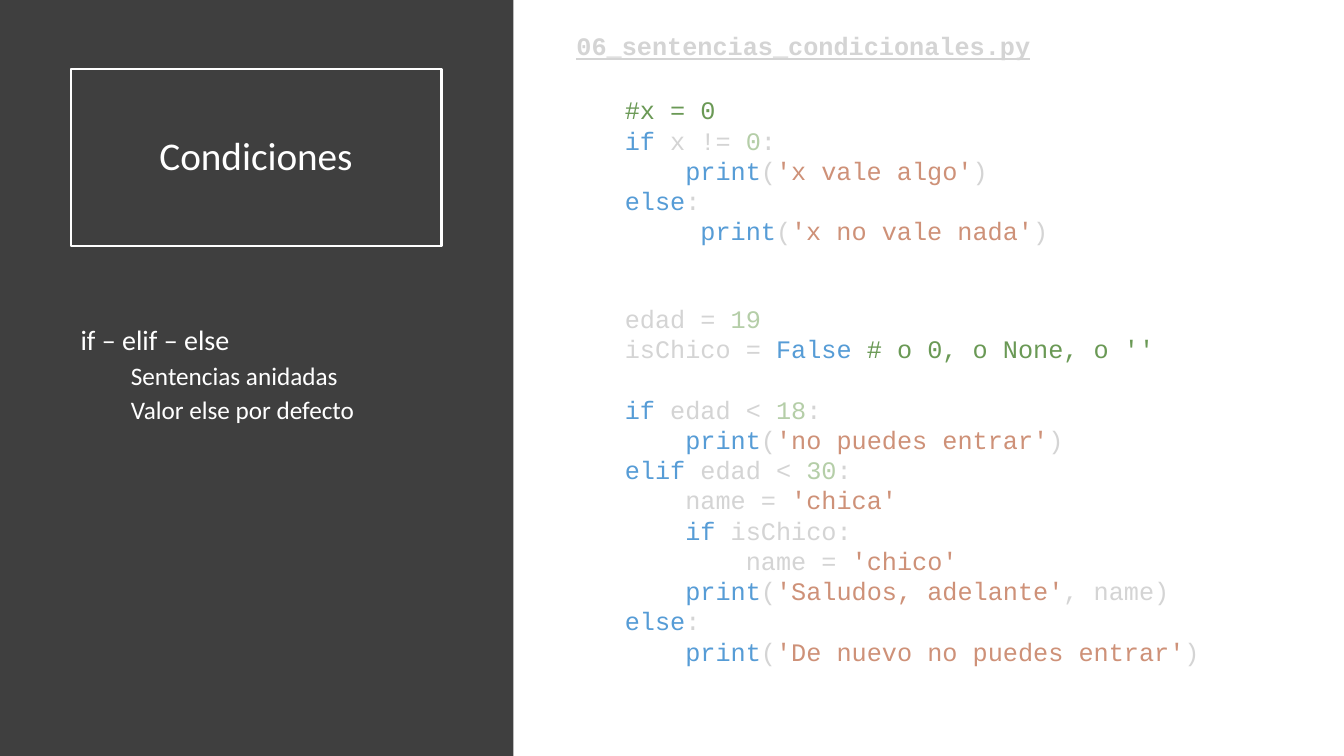
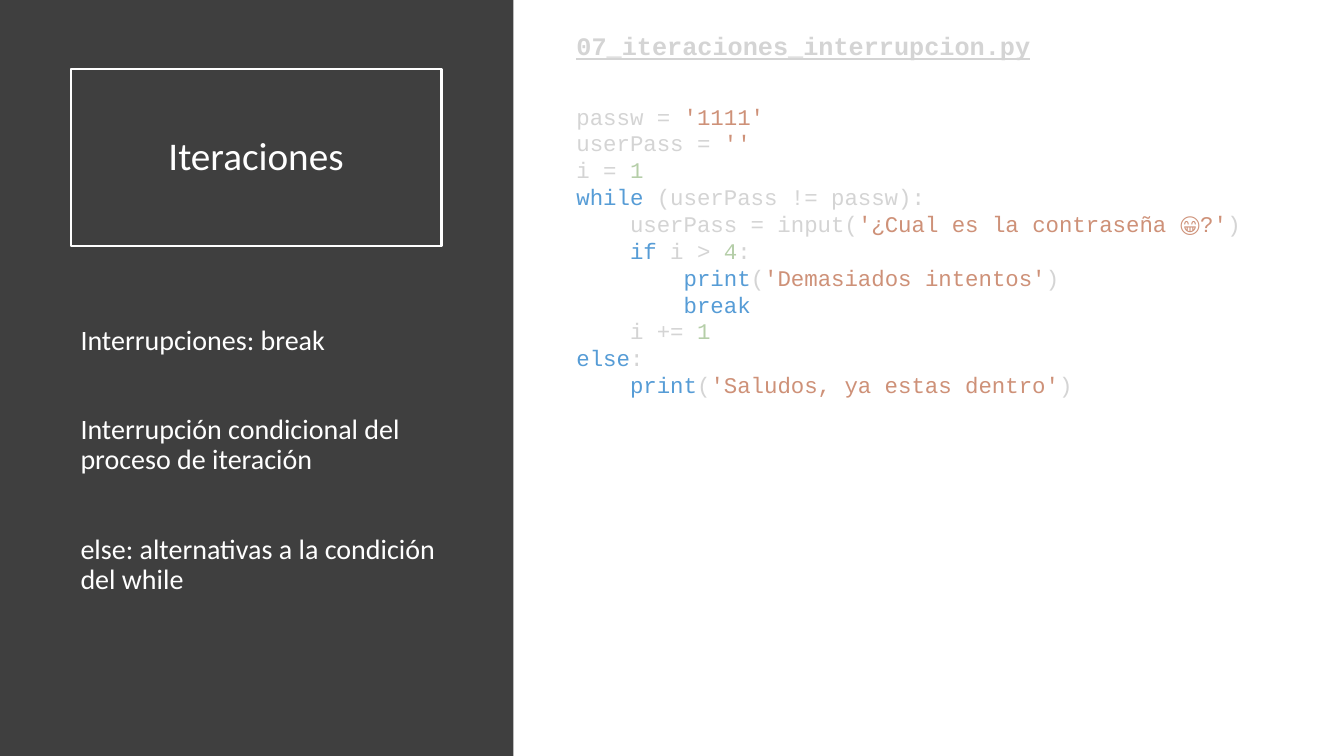
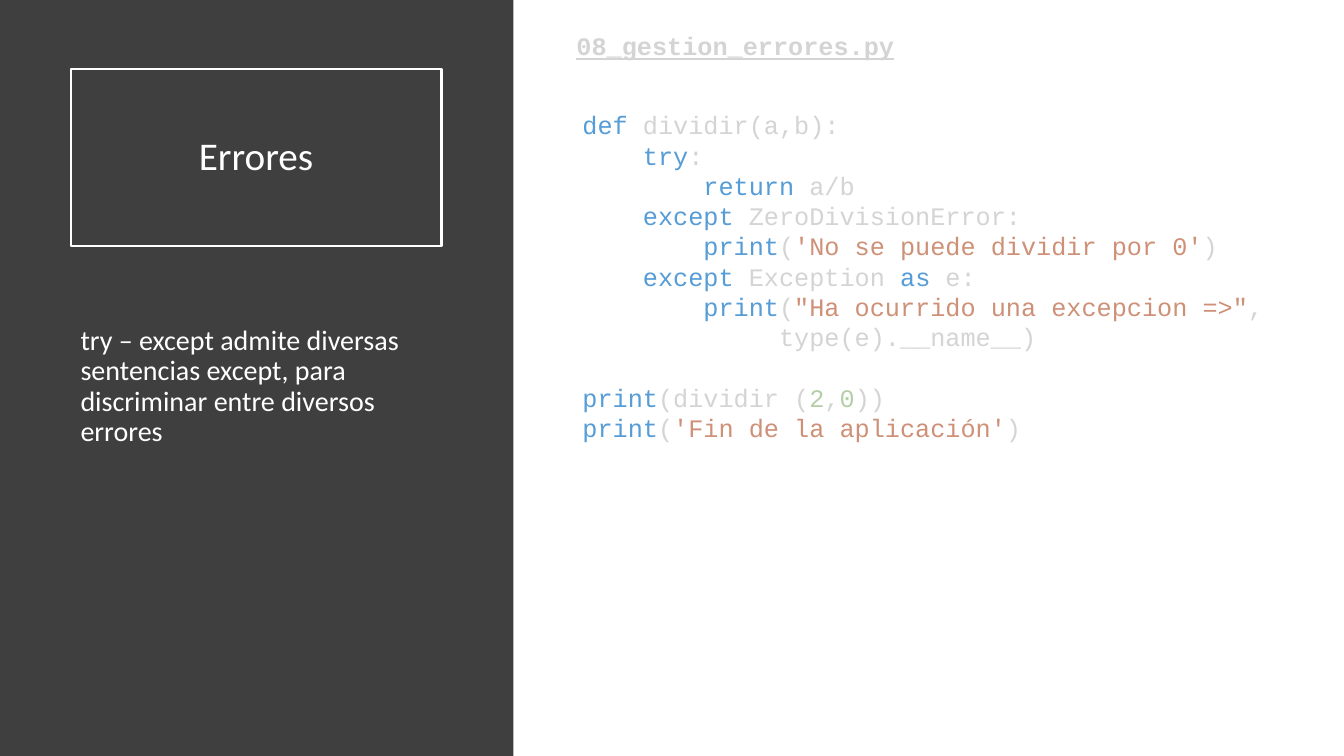
import itertools
from dataclasses import dataclass
from typing import Iterator

import pptx
import pptx.dml.color
import pptx.enum.shapes
import pptx.enum.text
import pptx.util


@dataclass(frozen=True)
class Theme:
    panel: str = "3F3F3F"
    light: str = "FFFFFF"
    plain: str = "D4D4D4"
    keyword: str = "569CD6"
    number: str = "B5CEA8"
    string: str = "CE9178"
    comment: str = "6A9955"
    text_font: str = "Calibri"
    code_font: str = "Courier New"
    title_size: int = 28
    point_size: int = 20
    detail_size: int = 18
    code_size: int = 18
    small_code_size: int = 16
    line_spacing: float = 0.9
    code_line_height: float = 1.2
    frame_width: float = 1.5


@dataclass(frozen=True)
class Area:
    """Position and size as percentages of the slide."""

    left: float
    top: float
    width: float
    height: float

    def lengths(self) -> tuple[int, int, int, int]:
        return (
            round(SLIDE_WIDTH * self.left / 100),
            round(SLIDE_HEIGHT * self.top / 100),
            round(SLIDE_WIDTH * self.width / 100),
            round(SLIDE_HEIGHT * self.height / 100),
        )


@dataclass(frozen=True)
class Point:
    text: str
    detail: bool = False


@dataclass(frozen=True)
class Listing:
    area: Area
    size: int
    code: str


@dataclass(frozen=True)
class Lesson:
    title: str
    points: tuple[Point, ...]
    file_name: str
    listings: tuple[Listing, ...]
    point_gap: int = 10


THEME = Theme()
SLIDE_WIDTH = pptx.util.Inches(13.33)
SLIDE_HEIGHT = pptx.util.Inches(7.5)
TITLE_ONLY = 5
DETAIL_GAP = 5
DETAIL_INDENT = pptx.util.Inches(0.5)

PANEL_AREA = Area(0, 0, 38.2, 100)
TITLE_AREA = Area(5.25, 9.07, 27.6, 23.47)
POINTS_AREA = Area(5.25, 42.53, 28.73, 40.67)
FILE_AREA = Area(42.15, 3.33, 53.25, 9.47)

KEYWORDS = {
    "if", "elif", "else", "while", "break", "def", "try", "except",
    "return", "as", "print", "False",
}

LESSONS = (
    Lesson(
        "Condiciones",
        (
            Point("if – elif – else"),
            Point("Sentencias anidadas", detail=True),
            Point("Valor else por defecto", detail=True),
        ),
        "06_sentencias_condicionales.py",
        (
            Listing(
                Area(45.75, 11.87, 33.38, 21.6),
                THEME.code_size,
                """#x = 0
if x != 0:
    print('x vale algo')
else:
     print('x no vale nada')""",
            ),
            Listing(
                Area(45.75, 39.47, 50.03, 49.87),
                THEME.code_size,
                """edad = 19
isChico = False # o 0, o None, o ''

if edad < 18:
    print('no puedes entrar')
elif edad < 30:
    name = 'chica'
    if isChico:
        name = 'chico'
    print('Saludos, adelante', name)
else:
    print('De nuevo no puedes entrar')""",
            ),
        ),
    ),
    Lesson(
        "Iteraciones",
        (
            Point("Interrupciones: break"),
            Point("Interrupción condicional del proceso de iteración"),
            Point("else: alternativas a la condición del while"),
        ),
        "07_iteraciones_interrupcion.py",
        (
            Listing(
                Area(42.15, 12.93, 51.83, 41.73),
                THEME.small_code_size,
                """passw = '1111'
userPass = ''
i = 1
while (userPass != passw):
    userPass = input('¿Cual es la contraseña 😁?')
    if i > 4:
        print('Demasiados intentos')
        break
    i += 1
else:
    print('Saludos, ya estas dentro')""",
            ),
        ),
        point_gap=42,
    ),
    Lesson(
        "Errores",
        (
            Point(
                "try – except admite diversas sentencias except, "
                "para discriminar entre diversos errores"
            ),
        ),
        "08_gestion_errores.py",
        (
            Listing(
                Area(42.6, 13.87, 54.23, 45.73),
                THEME.code_size,
                """def dividir(a,b):
    try:
        return a/b
    except ZeroDivisionError:
        print('No se puede dividir por 0')
    except Exception as e:
        print("Ha ocurrido una excepcion =>",
             type(e).__name__)

print(dividir (2,0))
print('Fin de la aplicación')""",
            ),
        ),
    ),
)


def rgb(colour: str) -> pptx.dml.color.RGBColor:
    return pptx.dml.color.RGBColor.from_string(colour)


def style(font, name: str, size: int, colour: str) -> None:
    font.name = name
    font.size = pptx.util.Pt(size)
    font.color.rgb = rgb(colour)


def is_word(character: str) -> bool:
    return character.isalnum() or character == "_"


def tokens(line: str) -> Iterator[tuple[str, str]]:
    start = 0
    while start < len(line):
        first = line[start]
        end = start + 1
        colour = THEME.plain
        if first == "#":
            end, colour = len(line), THEME.comment
        elif first in "'\"":
            end, colour = line.index(first, end) + 1, THEME.string
        elif is_word(first):
            end = start + len(list(itertools.takewhile(is_word, line[start:])))
            word = line[start:end]
            if word in KEYWORDS:
                colour = THEME.keyword
            elif word.isdigit():
                colour = THEME.number
        yield colour, line[start:end]
        start = end


def add_text_frame(page, area: Area):
    frame = page.shapes.add_textbox(*area.lengths()).text_frame
    frame.word_wrap = True
    return frame


def next_paragraph(frame, index: int):
    return frame.add_paragraph() if index else frame.paragraphs[0]


def add_panel(page) -> None:
    panel = page.shapes.add_shape(
        pptx.enum.shapes.MSO_SHAPE.RECTANGLE, *PANEL_AREA.lengths()
    )
    panel.shadow.inherit = False
    panel.fill.solid()
    panel.fill.fore_color.rgb = rgb(THEME.panel)
    panel.line.fill.background()
    page.shapes.title._element.addprevious(panel._element)


def set_title(page, text: str) -> None:
    title = page.shapes.title
    title.left, title.top, title.width, title.height = TITLE_AREA.lengths()
    title.fill.background()
    title.line.color.rgb = rgb(THEME.light)
    title.line.width = pptx.util.Pt(THEME.frame_width)
    frame = title.text_frame
    frame.text = text
    frame.word_wrap = True
    frame.auto_size = pptx.enum.text.MSO_AUTO_SIZE.NONE
    frame.vertical_anchor = pptx.enum.text.MSO_ANCHOR.MIDDLE
    para = frame.paragraphs[0]
    para.alignment = pptx.enum.text.PP_ALIGN.CENTER
    para.line_spacing = THEME.line_spacing
    style(para.font, THEME.text_font, THEME.title_size, THEME.light)


def add_points(page, points: tuple[Point, ...], gap: int) -> None:
    frame = add_text_frame(page, POINTS_AREA)
    for index, point in enumerate(points):
        para = next_paragraph(frame, index)
        para.text = point.text
        para.line_spacing = THEME.line_spacing
        if index:
            para.space_before = pptx.util.Pt(DETAIL_GAP if point.detail else gap)
        if point.detail:
            para.level = 1
            properties = para._p.get_or_add_pPr()
            properties.set("marL", str(DETAIL_INDENT))
            properties.set("indent", "0")
        size = THEME.detail_size if point.detail else THEME.point_size
        style(para.font, THEME.text_font, size, THEME.light)


def add_file_name(page, name: str) -> None:
    para = add_text_frame(page, FILE_AREA).paragraphs[0]
    para.text = name
    style(para.font, THEME.code_font, THEME.code_size, THEME.plain)
    para.font.bold = True
    para.font.underline = True


def add_listing(page, listing: Listing) -> None:
    frame = add_text_frame(page, listing.area)
    blank_lines = 0
    for index, line in enumerate(listing.code.splitlines()):
        if not line:
            blank_lines += 1
            continue
        para = next_paragraph(frame, index)
        if blank_lines:
            gap = blank_lines * listing.size * THEME.code_line_height
            para.space_before = pptx.util.Pt(gap)
            blank_lines = 0
        style(para.font, THEME.code_font, listing.size, THEME.plain)
        for colour, group in itertools.groupby(tokens(line), lambda token: token[0]):
            span = para.add_run()
            span.text = "".join(text for _, text in group)
            span.font.color.rgb = rgb(colour)


def add_lesson(deck, lesson: Lesson) -> None:
    page = deck.slides.add_slide(deck.slide_layouts[TITLE_ONLY])
    add_panel(page)
    set_title(page, lesson.title)
    add_points(page, lesson.points, lesson.point_gap)
    add_file_name(page, lesson.file_name)
    for listing in lesson.listings:
        add_listing(page, listing)


def main() -> None:
    deck = pptx.Presentation()
    deck.slide_width = SLIDE_WIDTH
    deck.slide_height = SLIDE_HEIGHT
    for lesson in LESSONS:
        add_lesson(deck, lesson)
    deck.save("out.pptx")


if __name__ == "__main__":
    main()
